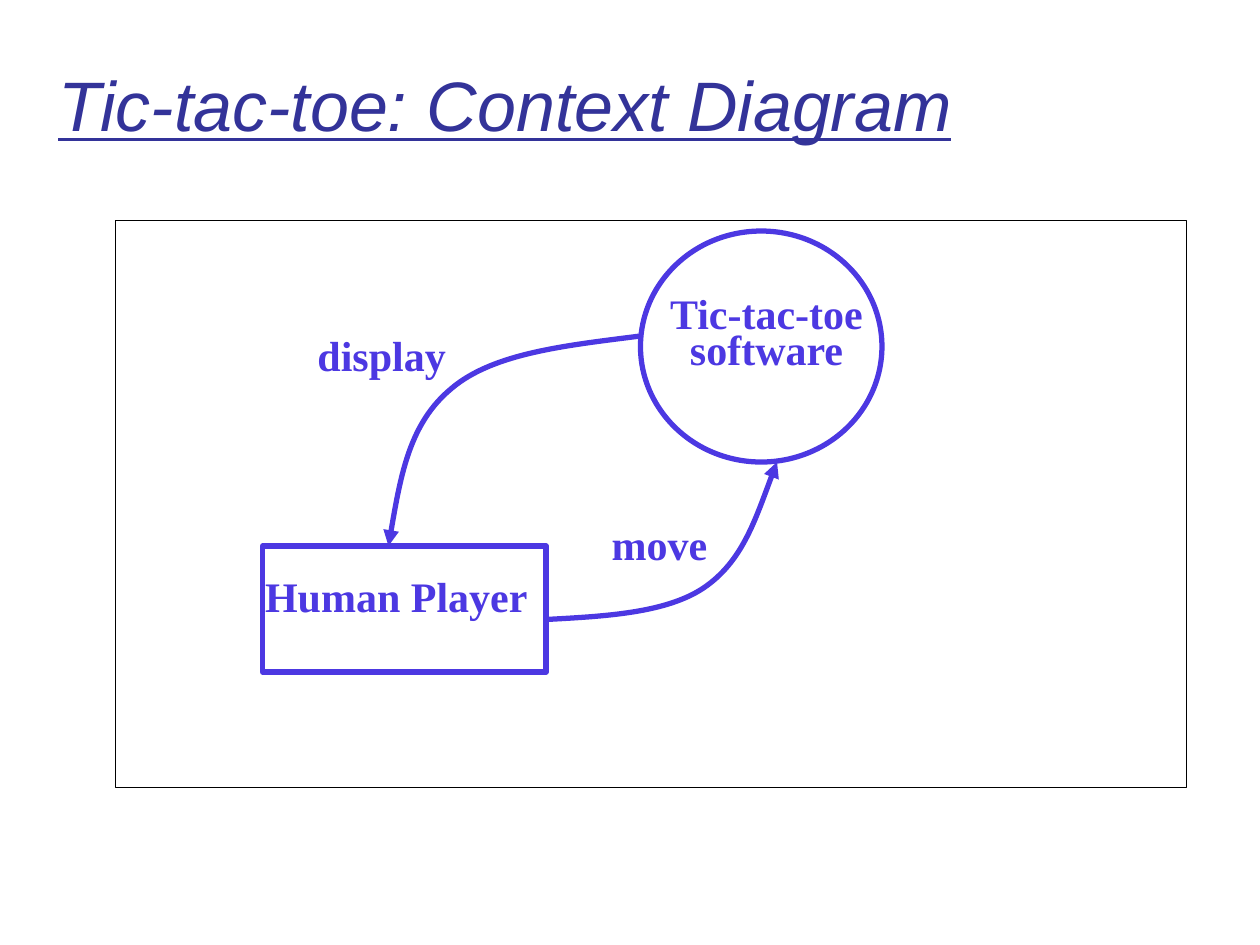
from pptx import Presentation
from pptx.dml.color import RGBColor
from pptx.enum.shapes import MSO_SHAPE
from pptx.enum.text import MSO_ANCHOR, MSO_AUTO_SIZE, PP_ALIGN
from pptx.oxml.ns import qn
from pptx.util import Inches, Pt
from lxml.etree import SubElement

NAVY = RGBColor(0x33, 0x33, 0x99)
VIOLET = RGBColor(0x4C, 0x38, 0xE2)
BLACK = RGBColor(0, 0, 0)

CELL = Inches(1) // 12
TITLE_BOX = (5.3, 2.4, 102, 15)
DIAGRAM_BOX = (11, 21, 102, 54)


def place(area, column, row, *size):
    """Turn grid cells relative to an area into slide lengths."""
    cells = (area[0] + column, area[1] + row, *size)
    return [round(cell * CELL) for cell in cells]


def prepare_frame(frame, anchor):
    """Set wrapping, margins and anchor of a text frame."""
    frame.word_wrap = True
    frame.auto_size = MSO_AUTO_SIZE.NONE
    frame.vertical_anchor = anchor
    frame.margin_left = frame.margin_right = Inches(0.02)
    frame.margin_top = frame.margin_bottom = Inches(0.05)


def add_span(para, text, name, size, color):
    """Add one run and return its font."""
    span = para.add_run()
    span.text = text
    span.font.name = name
    span.font.size = Pt(size)
    span.font.color.rgb = color
    return span.font


def add_title(page, area, text):
    """Fill the title placeholder."""
    title = page.shapes.title
    title.left, title.top, title.width, title.height = place((0, 0), *area)
    prepare_frame(title.text_frame, MSO_ANCHOR.MIDDLE)
    para = title.text_frame.paragraphs[0]
    para.alignment = PP_ALIGN.LEFT
    font = add_span(para, text, "Arial", 40, NAVY)
    font.italic = font.underline = True


def outline(shape, color, width):
    """Give a shape a plain line and no fill or shadow."""
    shape.shadow.inherit = False
    shape.fill.background()
    shape.line.color.rgb = color
    shape.line.width = Pt(width)


def add_outline(page, area, kind, cells, color=VIOLET, width=3):
    """Add an unfilled preset shape with square corners."""
    shape = page.shapes.add_shape(kind, *place(area, *cells))
    if kind == MSO_SHAPE.ROUNDED_RECTANGLE:
        shape.adjustments[0] = 0
    outline(shape, color, width)


def add_label(page, area, cells, text, alignment=PP_ALIGN.LEFT):
    """Add a bold label with tight lines."""
    box = page.shapes.add_textbox(*place(area, *cells))
    prepare_frame(box.text_frame, MSO_ANCHOR.TOP)
    para = box.text_frame.paragraphs[0]
    para.alignment = alignment
    para.line_spacing = 0.72
    add_span(para, text, "Times New Roman", 24, VIOLET).bold = True


def add_flow(page, area, points):
    """Add an arrow along cubic curves, three points to each curve."""
    start, *rest = [place(area, *point) for point in points]
    builder = page.shapes.build_freeform(*start)
    builder.add_line_segments(rest, close=False)
    flow = builder.convert_to_shape()
    outline(flow, VIOLET, 3)
    segments = list(flow.element.iter(qn("a:lnTo")))
    for first in range(0, len(segments), 3):
        curve, *others = segments[first:first + 3]
        for other in others:
            curve.append(other[0])
            other.getparent().remove(other)
        curve.tag = qn("a:cubicBezTo")
    SubElement(flow.line._get_or_add_ln(), qn("a:tailEnd"), type="triangle")


def add_diagram(page, area):
    """Draw the framed context diagram."""
    square = MSO_SHAPE.ROUNDED_RECTANGLE
    add_outline(page, area, square, (0, 0, *area[2:]), BLACK, 0.75)
    add_outline(page, area, MSO_SHAPE.OVAL, (50, 1, 23, 22))
    add_outline(page, area, square, (14, 31, 27, 12))
    add_label(page, area, (14, 34, 28, 6), "Human Player")
    add_label(page, area, (51, 7, 22, 10.8), "Tic-tac-toe software", PP_ALIGN.CENTER)
    add_flow(page, area, [(50, 11), (43, 11.9), (36, 12.6), (32, 16),
                          (28, 19.3), (27, 25.1), (26, 31)])
    add_flow(page, area, [(41, 38), (46.6, 37.7), (52.4, 37.4), (56, 35),
                          (59.7, 32.5), (61.2, 27.7), (63, 23)])
    add_label(page, area, (19, 11, 18, 6), "display")
    add_label(page, area, (47, 29, 21, 6), "move")


def main():
    """Build and save the deck."""
    deck = Presentation()
    deck.slide_width, deck.slide_height = Inches(10), Inches(7.5)
    page = deck.slides.add_slide(deck.slide_layouts[5])
    add_title(page, TITLE_BOX, "Tic-tac-toe: Context Diagram")
    add_diagram(page, DIAGRAM_BOX)
    deck.save("out.pptx")


if __name__ == "__main__":
    main()
